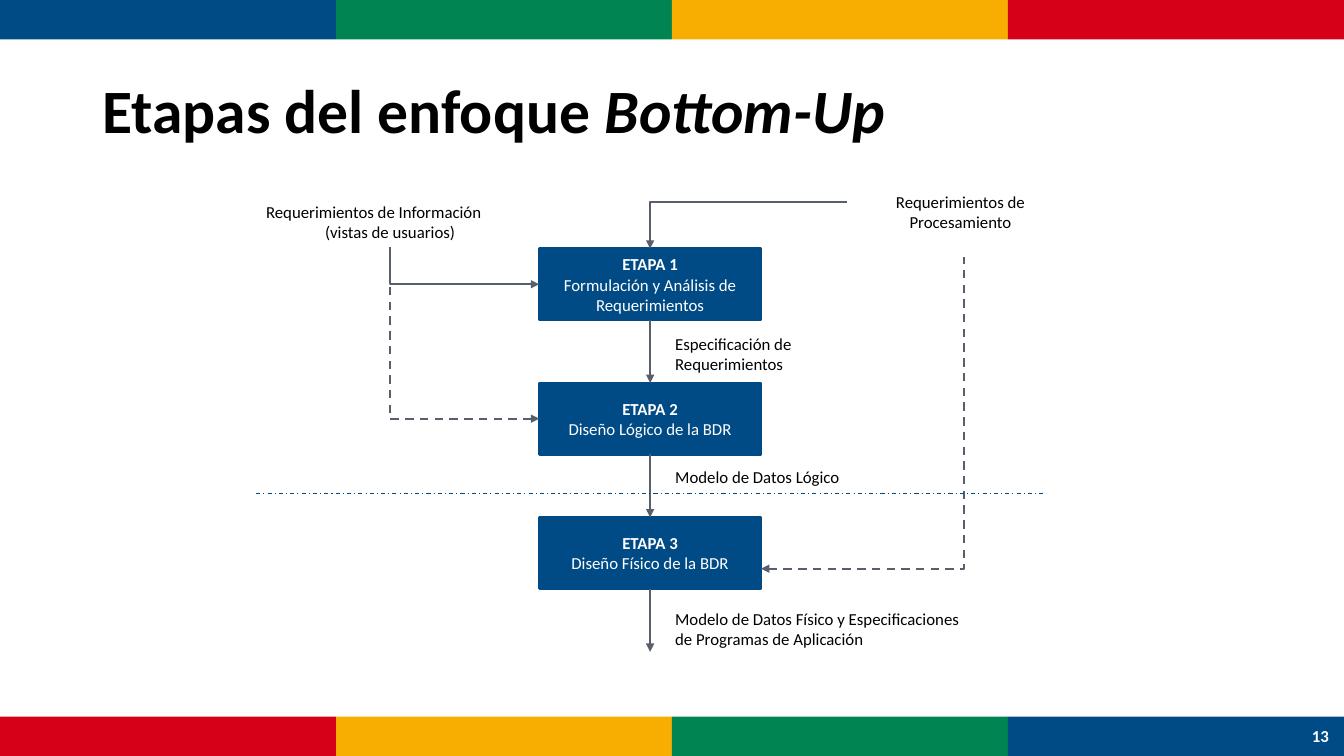
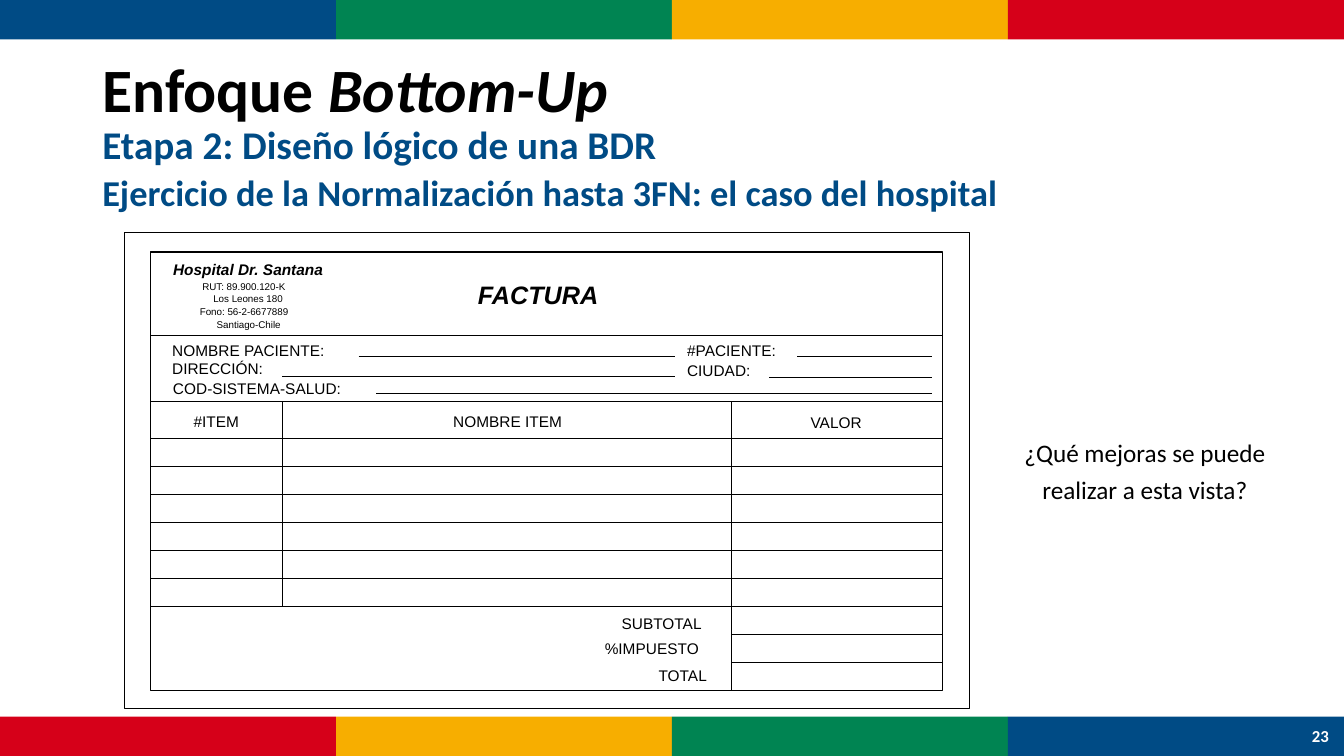
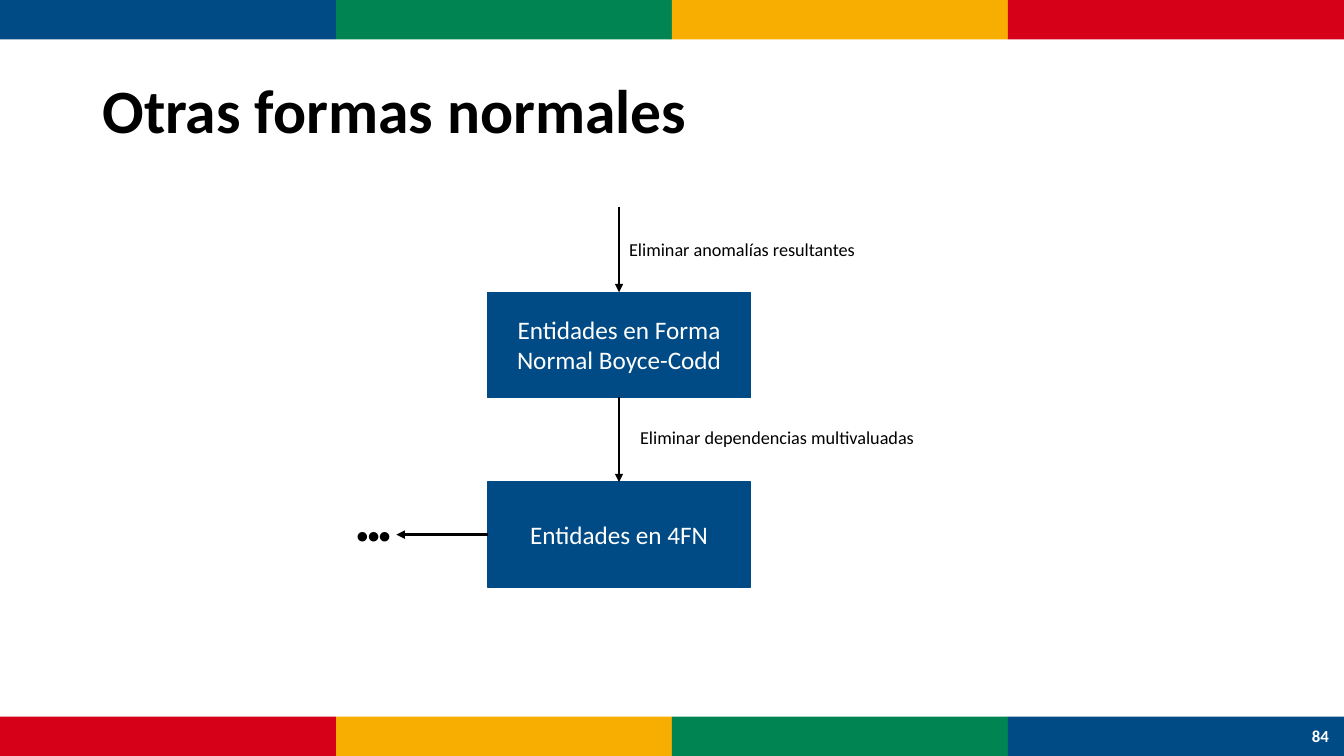
import dataclasses
import typing

import lxml.etree
import pptx
import pptx.dml.color
import pptx.enum.dml
import pptx.enum.shapes
import pptx.enum.text
import pptx.oxml.ns
import pptx.util

COLUMNS, ROWS = 160, 90
CELL = pptx.util.Inches(7.5) / ROWS
BLUE, GREEN, YELLOW, RED = "004B85", "008452", "F7AE00", "D60019"
BLACK, WHITE, GREY = "000000", "FFFFFF", "575F6D"
BAND_HEIGHT = 4.7
BAND_COLORS = (BLUE, GREEN, YELLOW, RED)

ALIGN = pptx.enum.text.PP_ALIGN
ANCHOR = pptx.enum.text.MSO_ANCHOR
DASH = pptx.enum.dml.MSO_LINE
KIND = pptx.enum.shapes.MSO_CONNECTOR
TOP, LEFT, BOTTOM = 0, 1, 2


@dataclasses.dataclass(frozen=True)
class Area:
    """Hold a rectangle in grid columns and rows."""
    left: float
    top: float
    width: float
    height: float


@dataclasses.dataclass(frozen=True)
class Style:
    """Hold the look of a text."""
    size: float = 12
    font: str = "Calibri"
    color: str = BLACK
    bold: bool = False
    italic: bool = False
    align: typing.Any = ALIGN.LEFT
    spacing: float = 1.0


@dataclasses.dataclass(frozen=True)
class Label:
    """Hold a text with its area and style."""
    text: str
    area: Area
    style: Style


@dataclasses.dataclass(frozen=True)
class Stroke:
    """Hold the look of a connector."""
    color: str
    width: float
    arrow: str = ""
    dash: typing.Any = None


TITLE = Style(44, bold=True, spacing=0.9)
SUBTITLE = Style(26, color=BLUE, bold=True, align=ALIGN.JUSTIFY, spacing=0.9)
PAGE_NUMBER = Style(12, color=WHITE, bold=True, align=ALIGN.CENTER)
NOTE = Style(12)
CENTERED_NOTE = Style(12, align=ALIGN.CENTER)
STAGE_NAME = PAGE_NUMBER
STAGE_TEXT = Style(12, color=WHITE, align=ALIGN.CENTER)
FORM_NAME = Style(11, "Arial", bold=True, italic=True)
FORM_HEADING = Style(18, "Arial", bold=True, italic=True)
FORM_TEXT = Style(11, "Arial")
FORM_COLUMN = Style(11, "Arial", align=ALIGN.CENTER)
FORM_SMALL = Style(7, "Arial")
QUESTION = Style(18, align=ALIGN.CENTER, spacing=1.2)
ENTITY = Style(18, color=WHITE, align=ALIGN.CENTER)
STEP = Style(13)
DOTS = Style(16, bold=True)

FLOW = Stroke(GREY, 1.5, "tailEnd")
FLOW_BACK = Stroke(GREY, 1.5, "headEnd")
FLOW_BACK_DASHED = Stroke(GREY, 1.5, "headEnd", DASH.DASH)
DIVIDER = Stroke(BLUE, 0.75, dash=DASH.DASH_DOT)
RULE = Stroke(BLACK, 0.75)
STEP_ARROW = Stroke(BLACK, 1.75, "tailEnd")


def grid(cells: float) -> int:
    """Turn grid cells into a length."""
    return round(cells * CELL)


def paint(code: str) -> pptx.dml.color.RGBColor:
    """Turn a hex string into a colour."""
    return pptx.dml.color.RGBColor.from_string(code)


def place(area: Area) -> typing.Tuple[int, int, int, int]:
    """Turn an area into lengths."""
    return tuple(grid(side) for side in dataclasses.astuple(area))


def format_para(para: typing.Any, style: Style) -> None:
    """Apply a style to a paragraph."""
    para.alignment = style.align
    para.line_spacing = style.spacing
    para.font.name = style.font
    para.font.size = pptx.util.Pt(style.size)
    para.font.bold = style.bold
    para.font.italic = style.italic
    para.font.color.rgb = paint(style.color)


def write(shape: typing.Any, lines: typing.Sequence[typing.Tuple[str, Style]],
          anchor: typing.Any = ANCHOR.TOP, inset: bool = True) -> None:
    """Fill a shape with one styled paragraph per line."""
    frame = shape.text_frame
    frame.word_wrap = True
    frame.vertical_anchor = anchor
    if not inset:
        frame.margin_left = frame.margin_right = 0
        frame.margin_top = frame.margin_bottom = 0
    for index, (text, style) in enumerate(lines):
        para = frame.add_paragraph() if index else frame.paragraphs[0]
        para.add_run().text = text
        format_para(para, style)


def add_label(page: typing.Any, label: Label, anchor: typing.Any = ANCHOR.TOP,
              inset: bool = True) -> None:
    """Draw a label as a text box."""
    box = page.shapes.add_textbox(*place(label.area))
    write(box, [(label.text, label.style)], anchor, inset)


def add_box(page: typing.Any, area: Area, fill: str = "", line: str = "",
            width: float = 0.75) -> typing.Any:
    """Draw a rectangle."""
    box = page.shapes.add_shape(
        pptx.enum.shapes.MSO_SHAPE.RECTANGLE, *place(area))
    box.shadow.inherit = False
    if fill:
        box.fill.solid()
        box.fill.fore_color.rgb = paint(fill)
    else:
        box.fill.background()
    if line:
        box.line.color.rgb = paint(line)
        box.line.width = pptx.util.Pt(width)
    else:
        box.line.fill.background()
    return box


def add_line(page: typing.Any, start: typing.Tuple[float, float],
             end: typing.Tuple[float, float], stroke: Stroke,
             elbow: bool = False) -> typing.Any:
    """Draw a straight line, or an elbow that starts horizontally."""
    line = page.shapes.add_connector(
        KIND.ELBOW if elbow else KIND.STRAIGHT,
        *(grid(cells) for cells in (*start, *end)))
    line.line.color.rgb = paint(stroke.color)
    line.line.width = pptx.util.Pt(stroke.width)
    if stroke.dash is not None:
        line.line.dash_style = stroke.dash
    name = pptx.oxml.ns.qn
    properties = line._element.spPr
    if elbow:
        properties.find(name("a:prstGeom")).set("prst", "bentConnector2")
    if stroke.arrow:
        lxml.etree.SubElement(properties.find(name("a:ln")),
                              name("a:" + stroke.arrow), type="triangle")
    lxml.etree.SubElement(properties, name("a:effectLst"))
    return line


def add_page(deck: typing.Any, number: str, title: str,
             emphasis: str = "", stage: str = "") -> typing.Any:
    """Add a slide with its bands, title and number."""
    page = deck.slides.add_slide(deck.slide_layouts[5])
    band_width = COLUMNS / len(BAND_COLORS)
    bands = ((0, BAND_COLORS), (ROWS - BAND_HEIGHT, BAND_COLORS[::-1]))
    for top, colors in bands:
        for index, color in enumerate(colors):
            add_box(page, Area(index * band_width, top, band_width,
                               BAND_HEIGHT), color)
    heading = page.shapes.title
    heading.left, heading.top, heading.width, heading.height = place(
        Area(11, 4.8, 138, 17.4))
    heading.text_frame.auto_size = pptx.enum.text.MSO_AUTO_SIZE.NONE
    write(heading, [(title, TITLE)], ANCHOR.MIDDLE)
    para = heading.text_frame.paragraphs[0]
    if emphasis:
        span = para.add_run()
        span.text = emphasis
        span.font.italic = True
    if stage:
        para.add_line_break()
        span = para.add_run()
        span.text = stage
        span.font.size = pptx.util.Pt(28)
        span.font.color.rgb = paint(BLUE)
    add_label(page, Label(number, Area(154.4, ROWS - BAND_HEIGHT, 5.6,
                                       BAND_HEIGHT), PAGE_NUMBER),
              ANCHOR.MIDDLE)
    return page


def draw_stages(deck: typing.Any) -> None:
    """Draw the three stages of the approach."""
    page = add_page(deck, "13", "Etapas del enfoque ", "Bottom-Up")
    left, top, width, height, pitch = 64.2, 29.6, 26.4, 8.5, 16
    middle = left + width / 2
    stages = ("Formulación y Análisis de Requerimientos",
              "Diseño Lógico de la BDR", "Diseño Físico de la BDR")
    boxes = []
    for index, text in enumerate(stages):
        box = add_box(page, Area(left, top + index * pitch, width, height),
                      BLUE, BLUE, 2)
        write(box, [(f"ETAPA {index + 1}", STAGE_NAME), (text, STAGE_TEXT)],
              ANCHOR.MIDDLE)
        boxes.append(box)
    for index, box in enumerate(boxes):
        bottom = top + index * pitch + height
        arrow = add_line(page, (middle, bottom),
                         (middle, bottom + pitch - height), FLOW)
        arrow.begin_connect(box, BOTTOM)
        if index + 1 < len(boxes):
            arrow.end_connect(boxes[index + 1], TOP)
    elbows = (
        ((100.8, 24.1), (middle, top), FLOW),
        ((left + width, 67.7), (114.8, 30.6), FLOW_BACK_DASHED),
        ((left, top + pitch + height / 2), (46.4, 30.6), FLOW_BACK_DASHED),
        ((left, top + height / 2), (46.4, 29.4), FLOW_BACK),
    )
    for start, end, stroke in elbows:
        add_line(page, start, end, stroke, elbow=True)
    labels = (
        Label("Requerimientos de Procesamiento",
              Area(104.5, 22.2, 19.7, 6.1), CENTERED_NOTE),
        Label("Especificación de Requerimientos",
              Area(79.2, 39.1, 19.7, 6.1), NOTE),
        Label("Modelo de Datos Lógico", Area(79.2, 55, 27.7, 3.6), NOTE),
        Label("Modelo de Datos Físico y Especificaciones de Programas de "
              "Aplicación", Area(79.2, 71.9, 37.4, 6), NOTE),
    )
    for label in labels:
        add_label(page, label)
    views = page.shapes.add_textbox(*place(Area(30.5, 23.4, 31.9, 6)))
    write(views, [("Requerimientos de Información", NOTE),
                  ("(vistas de usuarios)", CENTERED_NOTE)])
    add_line(page, (30.5, 58.7), (124.2, 58.7), DIVIDER)


def draw_invoice(deck: typing.Any) -> None:
    """Draw the hospital invoice form."""
    page = add_page(deck, "23", "Enfoque ", "Bottom-Up",
                    "Etapa 2: Diseño lógico de una BDR")
    add_label(page, Label(
        "Ejercicio de la Normalización hasta 3FN: el caso del hospital",
        Area(11, 20.2, 138, 6), SUBTITLE))
    add_box(page, Area(14.8, 27.7, 100.6, 56.6), WHITE, BLACK)
    form = Area(17.9, 30, 94.3, 52.2)
    add_box(page, form, line=BLACK)
    right, bottom = form.left + form.width, form.top + form.height
    name_column, value_column = 33.65, 87.05
    header, first_row, row, items = 47.8, 52.2, 3.34, 6
    item_rows = [first_row + row * index for index in range(items + 1)]
    total_rows = [item_rows[-1] + row * index for index in (1, 2)]
    rules = [(form.left, right, y) for y in (39.9, header, *item_rows)]
    rules += [(value_column, right, y) for y in total_rows]
    rules += [(42.7, 80.4, 42.4), (94.9, 110.9, 42.4), (33.6, 80.4, 44.8),
              (91.6, 110.9, 44.9), (44.8, 110.9, 46.9)]
    for start, end, y in rules:
        add_line(page, (start, y), (end, y), RULE)
    for x, end in ((name_column, item_rows[-1]), (value_column, bottom)):
        add_line(page, (x, header), (x, end), RULE)
    labels = (
        Label("Hospital Dr. Santana", Area(20.6, 31, 22.4, 2.3), FORM_NAME),
        Label("RUT: 89.900.120-K", Area(24.1, 33.4, 14.4, 1.4), FORM_SMALL),
        Label("Los Leones 180", Area(25.4, 34.8, 11.9, 1.4), FORM_SMALL),
        Label("Fono: 56-2-6677889", Area(23.8, 36.4, 15.1, 1.4), FORM_SMALL),
        Label("Santiago-Chile", Area(25.8, 38, 10.9, 1.4), FORM_SMALL),
        Label("FACTURA", Area(56.9, 33.2, 16.4, 3.6), FORM_HEADING),
        Label("NOMBRE PACIENTE:", Area(20.5, 40.6, 21.6, 2.3), FORM_TEXT),
        Label("DIRECCIÓN:", Area(20.5, 42.8, 12.6, 2.3), FORM_TEXT),
        Label("#PACIENTE:", Area(81.8, 40.6, 12.5, 2.3), FORM_TEXT),
        Label("CIUDAD:", Area(81.8, 43, 9.1, 2.3), FORM_TEXT),
        Label("COD-SISTEMA-SALUD:", Area(20.6, 45.1, 23.5, 2.3), FORM_TEXT),
        Label("#ITEM", Area(17.9, 49, 15.7, 2.3), FORM_COLUMN),
        Label("NOMBRE ITEM", Area(33.8, 49.1, 53.3, 2.3), FORM_COLUMN),
        Label("VALOR", Area(87, 49.2, 25.1, 2.3), FORM_COLUMN),
        Label("SUBTOTAL", Area(74, 73.1, 11.2, 2.3), FORM_TEXT),
        Label("%IMPUESTO", Area(72, 76.1, 13.2, 2.3), FORM_TEXT),
        Label("TOTAL", Area(78.4, 79.3, 7, 2.3), FORM_TEXT),
    )
    for label in labels:
        add_label(page, label, inset=False)
    add_label(page, Label("¿Qué mejoras se puede realizar a esta vista?",
                          Area(119.5, 50.9, 33.6, 9.6), QUESTION),
              ANCHOR.MIDDLE)


def draw_normal_forms(deck: typing.Any) -> None:
    """Draw the chain of further normal forms."""
    page = add_page(deck, "84", "Otras formas normales")
    left, top, width, height, pitch = 58.05, 34.8, 31.3, 12.5, 22.6
    middle = left + width / 2
    boxes = []
    for index, text in enumerate(("Entidades en Forma Normal Boyce-Codd",
                                  "Entidades en 4FN")):
        box = add_box(page, Area(left, top + index * pitch, width, height),
                      BLUE, BLUE, 1)
        write(box, [(text, ENTITY)], ANCHOR.MIDDLE)
        boxes.append(box)
    boyce_codd, fourth = boxes
    labels = (
        Label("Eliminar anomalías resultantes",
              Area(74.9, 28.4, 27.4, 2.6), STEP),
        Label("Eliminar dependencias multivaluadas",
              Area(76.2, 50.8, 33.2, 2.6), STEP),
        Label("•••", Area(42.5, 62, 4.1, 3.2), DOTS),
    )
    for label in labels:
        add_label(page, label, inset=False)
    entry = add_line(page, (middle, 24.6), (middle, top), STEP_ARROW)
    entry.end_connect(boyce_codd, TOP)
    link = add_line(page, (middle, top + height), (middle, top + pitch),
                    STEP_ARROW)
    link.begin_connect(boyce_codd, BOTTOM)
    link.end_connect(fourth, TOP)
    side = top + pitch + height / 2
    leave = add_line(page, (left, side), (47.2, side), STEP_ARROW)
    leave.begin_connect(fourth, LEFT)


def main() -> None:
    """Build and save the deck."""
    deck = pptx.Presentation()
    deck.slide_width, deck.slide_height = grid(COLUMNS), grid(ROWS)
    draw_stages(deck)
    draw_invoice(deck)
    draw_normal_forms(deck)
    deck.save("out.pptx")


if __name__ == "__main__":
    main()
